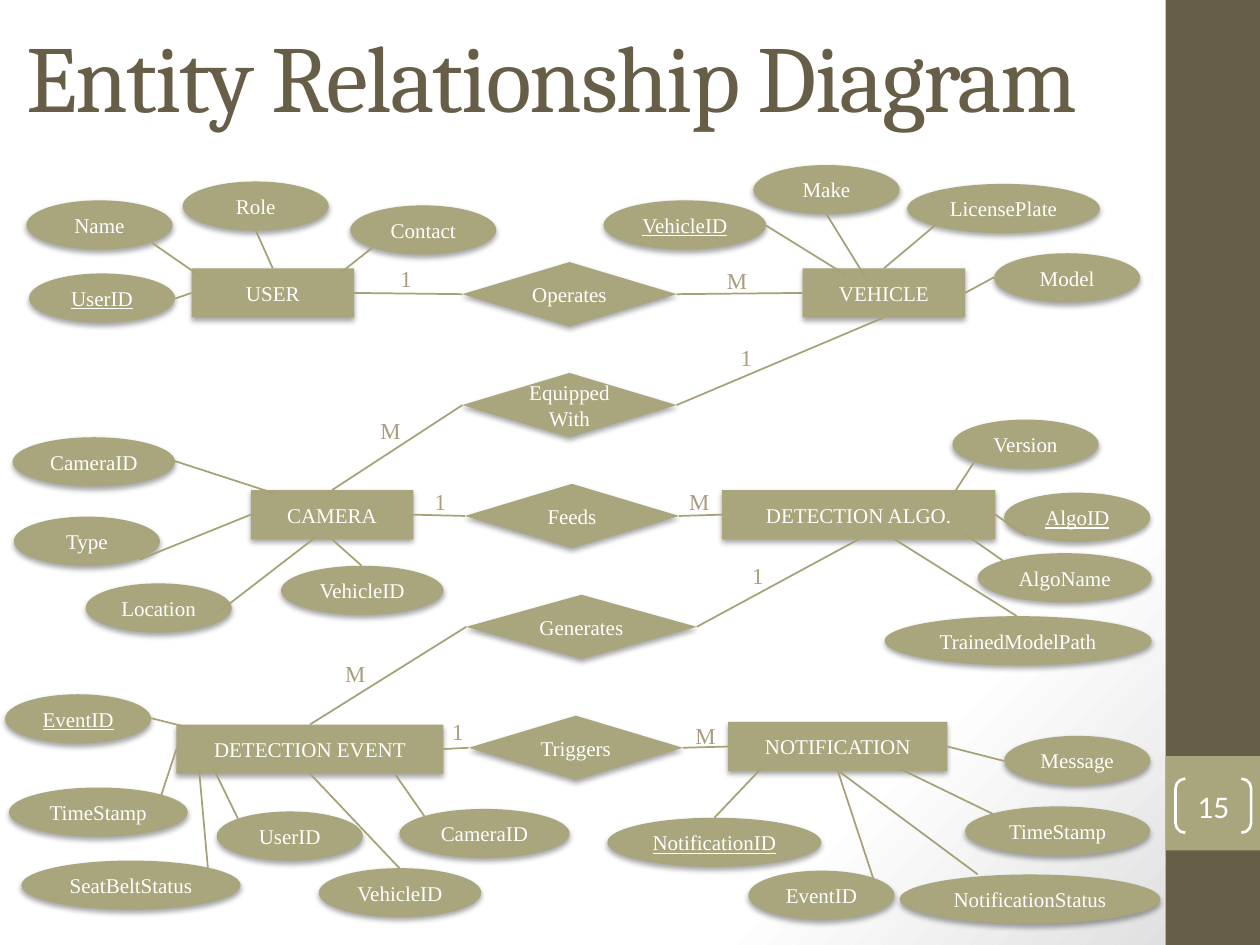
from lxml import etree
from pptx import Presentation
from pptx.dml.color import RGBColor
from pptx.enum.shapes import MSO_CONNECTOR, MSO_SHAPE
from pptx.enum.text import MSO_ANCHOR, PP_ALIGN
from pptx.oxml.ns import qn
from pptx.util import Inches, Pt

RECT, OVAL = MSO_SHAPE.RECTANGLE, MSO_SHAPE.OVAL
DIAMOND, BRACKET = MSO_SHAPE.DIAMOND, MSO_SHAPE.DOUBLE_BRACKET
STRAIGHT = MSO_CONNECTOR.STRAIGHT
MIDDLE, CENTER, LEFT = MSO_ANCHOR.MIDDLE, PP_ALIGN.CENTER, PP_ALIGN.LEFT
TOP, WEST, BOTTOM, EAST = range(4)

COLORS = {"white": "FFFFFF", "gray": "DADADA", "brown": "675E47",
          "olive": "A9A57C", "line": "A6A278", "mark": "A89D7F",
          "black": "000000"}
SERIF = "Times New Roman"
NODE = {"name": SERIF, "size": Pt(12), "color": "white"}
MARK = {"name": SERIF, "size": Pt(13), "color": "mark"}
TITLE = {"name": "Cambria", "size": Pt(54), "color": "brown"}
NUMBER = {"name": "Calibri", "size": Pt(18), "color": "white"}
NODE_H, DIAMOND_H, MARK_H = 0.39, 0.51, 0.32

# Entity: left, top, width, attributes
# Attribute: name, is key, left, top, width, line start, line end (side or point)
ENTITIES = {
    "USER": (1.52, 2.13, 1.29, [
        ("Role", False, 1.45, 1.44, 1.16, (2.03, 1.83), TOP),
        ("Name", False, 0.21, 1.59, 1.16, (1.21, 1.93), (1.6, 2.2)),
        ("Contact", False, 2.78, 1.63, 1.16, (2.95, 1.97), (2.71, 2.16)),
        ("UserID", True, 0.23, 2.17, 1.16, (1.39, 2.37), WEST)]),
    "CAMERA": (1.99, 3.89, 1.29, [
        ("CameraID", False, 0.1, 3.47, 1.29, (1.39, 3.66), (2.19, 3.92)),
        ("Type", False, 0.11, 4.1, 1.16, (1.11, 4.44), WEST),
        ("VehicleID", False, 2.23, 4.49, 1.29, (2.87, 4.49), BOTTOM),
        ("Location", False, 0.68, 4.63, 1.16, (1.72, 4.87), (2.51, 4.26))]),
    "DETECTION EVENT": (1.4, 5.75, 2.12, [
        ("EventID", True, 0.04, 5.51, 1.16, (1.2, 5.7), (1.52, 5.78)),
        ("TimeStamp", False, 0.07, 6.25, 1.42, (1.28, 6.31), WEST),
        ("SeatBeltStatus", False, 0.17, 6.83, 1.74, (1.65, 6.89), (1.58, 6.11)),
        ("UserID", False, 1.72, 6.44, 1.16, (1.89, 6.5), (1.69, 6.09)),
        ("VehicleID", False, 2.53, 6.89, 1.29, (3.17, 6.89), BOTTOM),
        ("CameraID", False, 3.17, 6.42, 1.35, (3.37, 6.48), (3.14, 6.15))]),
    "VEHICLE": (6.37, 2.13, 1.29, [
        ("VehicleID", True, 4.79, 1.59, 1.29, (6.08, 1.79), (6.71, 2.18)),
        ("Make", False, 5.98, 1.31, 1.16, (6.56, 1.7), (6.88, 2.22)),
        ("LicensePlate", False, 7.2, 1.46, 1.53, (7.42, 1.79), TOP),
        ("Model", False, 7.89, 2.01, 1.16, (7.89, 2.2), EAST)]),
    "DETECTION ALGO.": (5.73, 3.89, 2.17, [
        ("Version", False, 7.56, 3.33, 1.16, (7.73, 3.67), (7.56, 3.93)),
        ("AlgoID", True, 7.97, 3.91, 1.16, (8.14, 4.25), EAST),
        ("AlgoName", False, 7.76, 4.39, 1.38, (7.96, 4.45), (7.66, 4.24)),
        ("TrainedModelPath", False, 7.02, 4.89, 2.12, (8.07, 4.89), (7.1, 4.28))]),
    "NOTIFICATION": (5.78, 5.73, 1.74, [
        ("NotificationID", True, 4.82, 6.49, 1.7, (5.67, 6.49), (6.05, 6.09)),
        ("EventID", False, 5.94, 6.91, 1.16, (6.93, 6.97), BOTTOM),
        ("NotificationStatus", False, 7.14, 6.94, 2.07, (7.76, 6.94), (6.67, 6.13)),
        ("TimeStamp", False, 7.66, 6.4, 1.47, (7.88, 6.46), (7.14, 6.1)),
        ("Message", False, 7.97, 5.84, 1.16, (7.97, 6.04), EAST)]),
}

# Relation: name, left, top, width, two joined entities with side, two marks
RELATIONS = [
    ("Operates", 3.67, 2.08, 1.7, ("USER", EAST), ("VEHICLE", WEST),
     [("1", 3.08, 2.05, 0.31), ("M", 5.67, 2.07, 0.38)]),
    ("Equipped With", 3.67, 2.96, 1.7, ("CAMERA", TOP), ("VEHICLE", BOTTOM),
     [("M", 2.92, 3.26, 0.32), ("1", 5.78, 2.68, 0.27)]),
    ("Feeds", 3.69, 3.84, 1.7, ("CAMERA", EAST), ("DETECTION ALGO.", WEST),
     [("1", 3.35, 3.82, 0.32), ("M", 5.37, 3.82, 0.39)]),
    ("Generates", 3.7, 4.72, 1.83, ("DETECTION EVENT", TOP),
     ("DETECTION ALGO.", BOTTOM),
     [("M", 2.64, 5.19, 0.32), ("1", 5.87, 4.41, 0.28)]),
    ("Triggers", 3.72, 5.68, 1.7, ("DETECTION EVENT", EAST),
     ("NOTIFICATION", WEST),
     [("1", 3.49, 5.65, 0.26), ("M", 5.42, 5.68, 0.28)]),
]


def rgb(name):
    return RGBColor.from_string(COLORS[name])


def write(shape, text, form, align=CENTER):
    para = shape.text_frame.paragraphs[0]
    para.alignment = align
    run = para.add_run()
    run.text = text
    for key, value in form.items():
        if key == "color":
            run.font.color.rgb = rgb(value)
        else:
            setattr(run.font, key, value)
    return run


def add_box(slide, kind, x, y, w, h, fill=None):
    box = slide.shapes.add_shape(kind, *map(Inches, (x, y, w, h)))
    box.shadow.inherit = False
    box.line.fill.background()
    if fill:
        box.fill.solid()
        box.fill.fore_color.rgb = rgb(fill)
    else:
        box.fill.background()
    return box


def add_node(slide, kind, text, x, y, w, h=NODE_H, key=False):
    node = add_box(slide, kind, x, y, w, h, "olive")
    effects = node._element.spPr.find(qn("a:effectLst"))
    shade = etree.SubElement(effects, qn("a:outerShdw"), blurRad="40000",
                             dist="23000", dir="5400000", rotWithShape="0")
    tone = etree.SubElement(shade, qn("a:srgbClr"), val=COLORS["black"])
    etree.SubElement(tone, qn("a:alpha"), val="35000")
    node.text_frame.vertical_anchor = MIDDLE
    write(node, text, {**NODE, "underline": True} if key else NODE)
    return node


def add_text(slide, text, x, y, w, h, form):
    box = slide.shapes.add_textbox(*map(Inches, (x, y, w, h)))
    box.text_frame.word_wrap = True
    return box, write(box, text, form, LEFT)


def add_line(slide, start=(0, 0), end=(0, 0), tail=None, head=None):
    """Draw a line; tail and head are (shape, side) pairs to join."""
    line = slide.shapes.add_connector(STRAIGHT, *map(Inches, (*start, *end)))
    if tail:
        line.begin_connect(*tail)
    if head:
        line.end_connect(*head)
    line.line.color.rgb = rgb("line")
    line.line.width = Pt(1)
    etree.SubElement(line._element.spPr, qn("a:effectLst"))


def add_frame(slide):
    # Background
    fill = slide.background.fill
    fill.gradient()
    fill.gradient_angle = 315
    for stop, place, name in zip(fill.gradient_stops, (0.75, 1), ("white", "gray")):
        stop.position = place
        stop.color.rgb = rgb(name)

    # Side bar and title
    add_box(slide, RECT, 9.25, 0, 0.75, 7.5, "brown")
    add_box(slide, RECT, 9.25, 6, 0.75, 0.75, "olive")
    title, run = add_text(slide, "Entity Relationship Diagram",
                          0.11, -0.03, 9.47, 1.25, TITLE)
    title.text_frame.vertical_anchor = MIDDLE
    run.font._element.set("spc", "-100")

    # Slide number
    page = add_box(slide, BRACKET, 9.33, 6.18, 0.6, 0.43)
    page.adjustments[0] = 0.18
    page.line.color.rgb = rgb("white")
    page.line.width = Pt(1.5)
    frame = page.text_frame
    frame.vertical_anchor = MIDDLE
    for side in ("left", "top", "right", "bottom"):
        setattr(frame, f"margin_{side}", 0)
    write(page, "15", NUMBER)


def main():
    deck = Presentation()
    deck.slide_width, deck.slide_height = Inches(10), Inches(7.5)
    slide = deck.slides.add_slide(deck.slide_layouts[6])
    add_frame(slide)

    # Entities with their attributes
    nodes = {name: add_node(slide, RECT, name, x, y, w)
             for name, (x, y, w, _) in ENTITIES.items()}
    for name, (*_, attrs) in ENTITIES.items():
        for text, key, x, y, w, start, end in attrs:
            add_node(slide, OVAL, text, x, y, w, key=key)
            if isinstance(end, tuple):
                add_line(slide, start, end)
            else:
                add_line(slide, start, head=(nodes[name], end))

    # Relations with their cardinality marks
    for text, x, y, w, (one, out), (two, into), marks in RELATIONS:
        node = add_node(slide, DIAMOND, text, x, y, w, DIAMOND_H)
        add_line(slide, tail=(nodes[one], out), head=(node, WEST))
        add_line(slide, tail=(node, EAST), head=(nodes[two], into))
        for mark, left, top, wide in marks:
            add_text(slide, mark, left, top, wide, MARK_H, MARK)

    deck.save("out.pptx")


if __name__ == "__main__":
    main()
